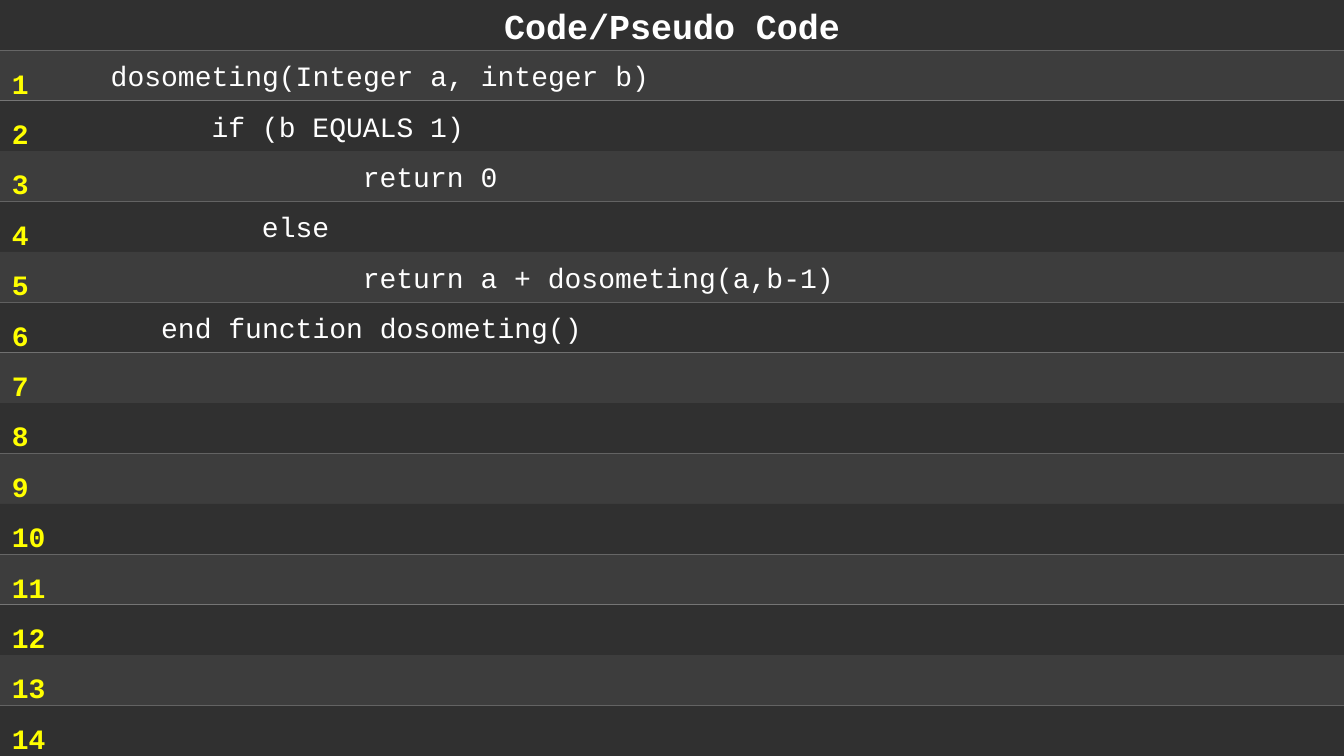
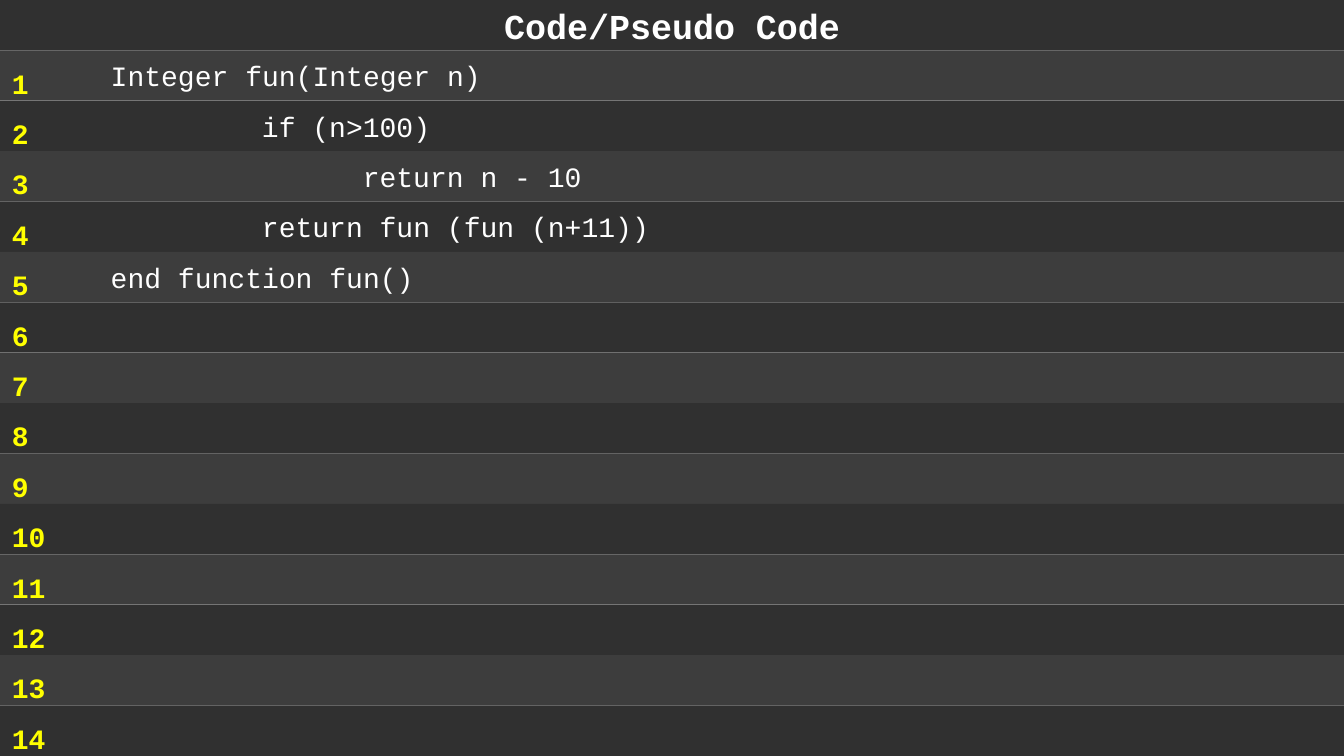
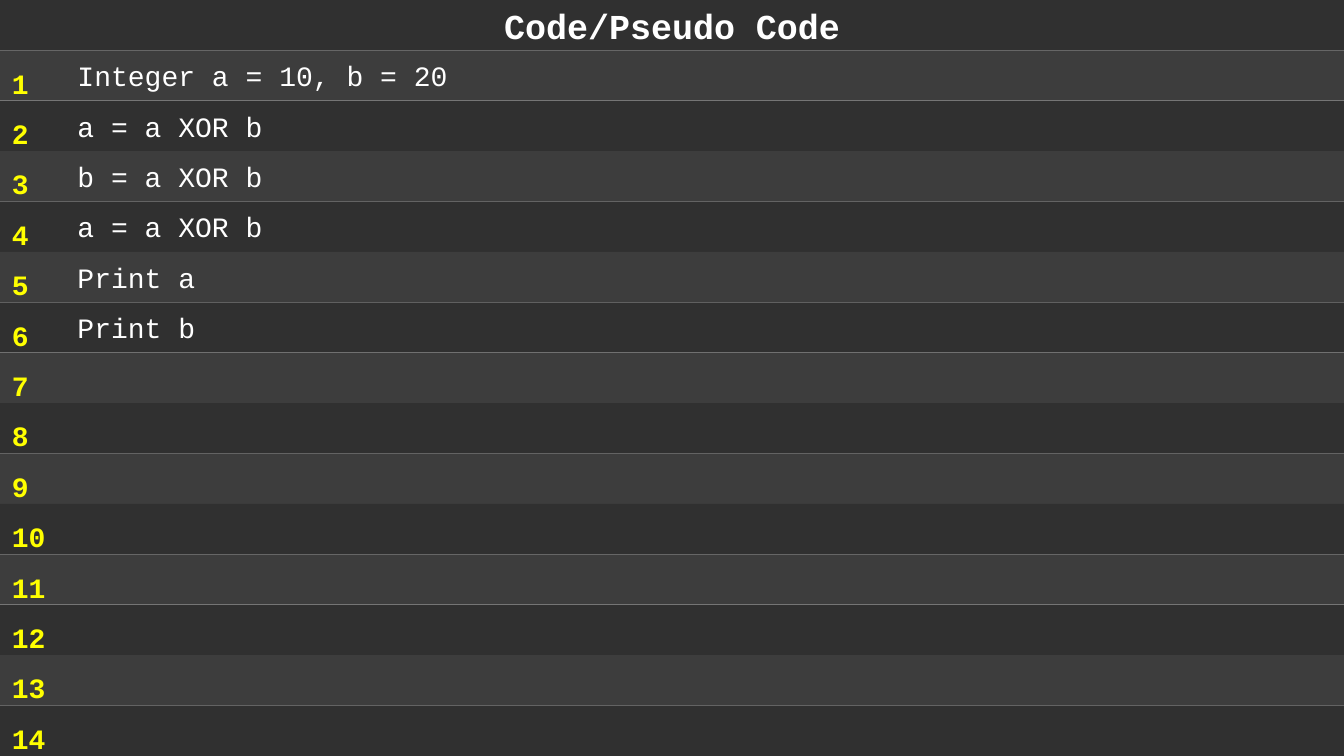
from pptx import Presentation
from pptx.dml.color import RGBColor
from pptx.enum.shapes import MSO_SHAPE
from pptx.enum.text import MSO_ANCHOR, MSO_AUTO_SIZE, PP_ALIGN
from pptx.util import Inches, Pt

RECTANGLE = MSO_SHAPE.RECTANGLE
MIDDLE = MSO_ANCHOR.MIDDLE
GROW = MSO_AUTO_SIZE.SHAPE_TO_FIT_TEXT
LEFT, CENTER = PP_ALIGN.LEFT, PP_ALIGN.CENTER

# Grid: a title band and fourteen numbered code bands
WIDTH, HEIGHT = 13.33, 7.5
LINES = 14
ROW = HEIGHT / (LINES + 1)
BAND_FILLS = ("303030", "3D3D3D")

# Text styles
FONT = "Courier New"
TITLE_FORMAT = {"name": FONT, "size": Pt(25), "bold": True, "color": "FFFFFF"}
CODE_FORMAT = {"name": FONT, "size": Pt(20), "bold": False, "color": "FFFFFF"}
NUMBER_FORMAT = {"name": FONT, "size": Pt(20), "bold": True, "color": "FFFF00"}

# Each listing is a sequence of (indent in inches, code)
TITLE = "Code/Pseudo Code"
LISTINGS = [
    [
        (1, "dosometing(Integer a, integer b)"),
        (2, "if (b EQUALS 1)"),
        (3.5, "return 0"),
        (2.5, "else"),
        (3.5, "return a + dosometing(a,b-1)"),
        (1.5, "end function dosometing()"),
    ],
    [
        (1, "Integer fun(Integer n)"),
        (2.5, "if (n>100)"),
        (3.5, "return n - 10"),
        (2.5, "return fun (fun (n+11))"),
        (1, "end function fun()"),
    ],
    [
        (0.67, "Integer a = 10, b = 20"),
        (0.67, "a = a XOR b"),
        (0.67, "b = a XOR b"),
        (0.67, "a = a XOR b"),
        (0.67, "Print a"),
        (0.67, "Print b"),
    ],
]


def rgb(color):
    return RGBColor.from_string(color)


def write(para, text, text_format):
    span = para.add_run()
    span.text = text
    for name, value in text_format.items():
        if name == "color":
            span.font.color.rgb = rgb(value)
        else:
            setattr(span.font, name, value)


def add_band(page, row):
    """Add a full-width band and return its empty paragraph."""
    band = page.shapes.add_shape(
        RECTANGLE, 0, Inches(row * ROW), Inches(WIDTH), Inches(ROW))
    band.shadow.inherit = False
    band.fill.solid()
    band.fill.fore_color.rgb = rgb(BAND_FILLS[row % 2])
    band.line.fill.background()
    band.text_frame.vertical_anchor = MIDDLE
    return band.text_frame.paragraphs[0]


def add_title(page):
    para = add_band(page, 0)
    para.alignment = CENTER
    write(para, TITLE, TITLE_FORMAT)


def add_code(page, listing):
    for row in range(1, LINES + 1):
        para = add_band(page, row)
        if row <= len(listing):
            indent, code = listing[row - 1]
            para.alignment = LEFT
            properties = para._p.get_or_add_pPr()
            properties.set("marL", str(Inches(indent)))
            properties.set("indent", "0")
            write(para, code, CODE_FORMAT)


def add_line_numbers(page):
    box = page.shapes.add_textbox(
        Inches(0.02), Inches(0.44), Inches(0.56), Inches(7.13))
    frame = box.text_frame
    frame.word_wrap = True
    frame.auto_size = GROW
    for number in range(1, LINES + 1):
        para = frame.paragraphs[0] if number == 1 else frame.add_paragraph()
        para.line_spacing = 1.5
        write(para, str(number), NUMBER_FORMAT)


def main():
    deck = Presentation()
    deck.slide_width, deck.slide_height = Inches(WIDTH), Inches(HEIGHT)
    blank = deck.slide_layouts[6]
    for listing in LISTINGS:
        page = deck.slides.add_slide(blank)
        add_title(page)
        add_code(page, listing)
        add_line_numbers(page)
    deck.save("out.pptx")


if __name__ == "__main__":
    main()
